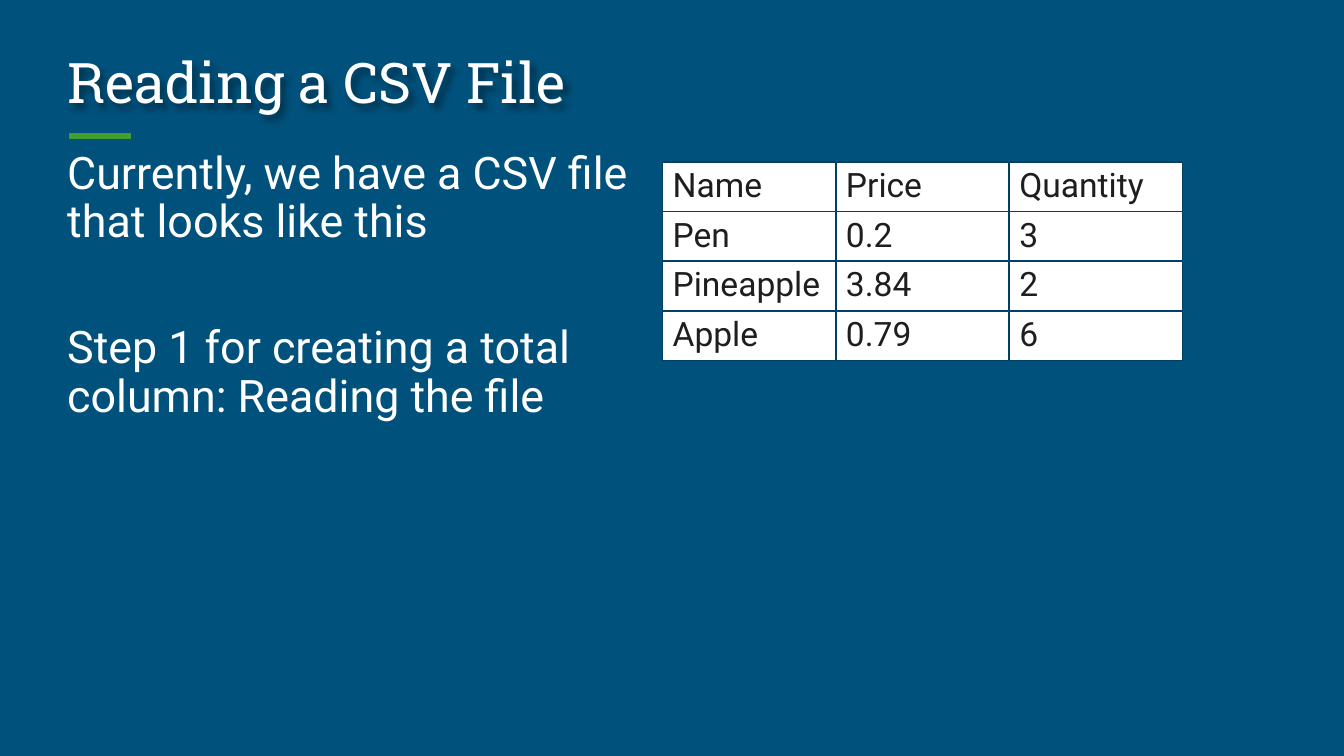
from lxml.etree import SubElement
from pptx import Presentation
from pptx.dml.color import RGBColor
from pptx.enum.shapes import MSO_CONNECTOR
from pptx.enum.text import MSO_ANCHOR, MSO_AUTO_SIZE, PP_ALIGN
from pptx.oxml import parse_xml
from pptx.oxml.ns import nsdecls, qn
from pptx.util import Inches, Pt

COLORS = {
    "background": "00517C",
    "accent": "419E2F",
    "light": "FFFFFF",
    "dark": "1E1E1E",
    "border": "004065",
}
WIDTH = Inches(10)
HEIGHT = WIDTH * 9 // 16
ITEMS = [
    ("Name", "Price", "Quantity"),
    ("Pen", "0.2", "3"),
    ("Pineapple", "3.84", "2"),
    ("Apple", "0.79", "6"),
]


def color(name):
    return RGBColor.from_string(COLORS[name])


def percent_box(left, top, width, height):
    """Turn percentages of the slide into a box of lengths."""
    return (int(left * WIDTH / 100), int(top * HEIGHT / 100),
            int(width * WIDTH / 100), int(height * HEIGHT / 100))


def set_margins(area, vertical):
    area.margin_left = area.margin_right = Pt(5.4)
    area.margin_top = area.margin_bottom = Pt(vertical)


def format_paragraph(para, typeface, size, color_name, spacing=1.0):
    para.alignment = PP_ALIGN.LEFT
    para.line_spacing = spacing
    para.font.name = typeface
    para.font.size = Pt(size)
    para.font.color.rgb = color(color_name)


def add_heading(page, box):
    """Title with a soft shadow, and the short rule below it."""
    left, top, width, height = box
    title = page.shapes.title
    title.left, title.top, title.width, title.height = box
    frame = title.text_frame
    frame.text = "Reading a CSV File"
    frame.word_wrap = True
    frame.auto_size = MSO_AUTO_SIZE.NONE
    frame.vertical_anchor = MSO_ANCHOR.MIDDLE
    set_margins(frame, 2.7)
    format_paragraph(frame.paragraphs[0], "Roboto Slab", 30, "light", 0.9)
    title._element.spPr.append(parse_xml(
        f'<a:effectLst {nsdecls("a")}>'
        '<a:outerShdw blurRad="50800" dist="38100" dir="2700000" algn="tl">'
        '<a:srgbClr val="000000"><a:alpha val="40000"/></a:srgbClr>'
        '</a:outerShdw></a:effectLst>'))

    # Accent rule
    start, level = left + int(0.01 * width), top + height
    rule = page.shapes.add_connector(
        MSO_CONNECTOR.STRAIGHT, start, level, start + int(0.05 * width), level)
    rule.line.color.rgb = color("accent")
    rule.line.width = Pt(3)
    SubElement(rule._element.spPr, qn("a:effectLst"))


def add_body(page, box):
    """Two paragraphs, set apart by paragraph spacing."""
    frame = page.shapes.add_textbox(*box).text_frame
    frame.word_wrap = True
    set_margins(frame, 2.7)
    frame.text = ("Currently, we have a CSV file that looks like this\n"
                  "Step 1 for creating a total column: Reading the file")
    for para in frame.paragraphs:
        format_paragraph(para, "Roboto", 24, "light", 0.9)
    frame.paragraphs[1].space_before = Pt(41.5)


def add_borders(cell):
    properties = cell._tc.get_or_add_tcPr()
    for position, side in enumerate(("lnL", "lnR", "lnT", "lnB")):
        properties.insert(position, parse_xml(
            f'<a:{side} {nsdecls("a")} w="{Pt(1)}"><a:solidFill>'
            f'<a:srgbClr val="{COLORS["border"]}"/></a:solidFill></a:{side}>'))


def add_items_table(page, box):
    """Contents of the CSV file in an even grid."""
    left, top, width, height = box
    table = page.shapes.add_table(len(ITEMS), len(ITEMS[0]), *box).table
    table.first_row = table.horz_banding = False
    for column in table.columns:
        column.width = width // len(ITEMS[0])
    for row, values in zip(table.rows, ITEMS):
        row.height = height // len(ITEMS)
        for cell, value in zip(row.cells, values):
            cell.text = value
            cell.fill.solid()
            cell.fill.fore_color.rgb = color("light")
            set_margins(cell, 2.5)
            format_paragraph(cell.text_frame.paragraphs[0],
                             "Roboto", 18, "dark")
            add_borders(cell)


def main():
    deck = Presentation()
    deck.slide_width, deck.slide_height = WIDTH, HEIGHT
    page = deck.slides.add_slide(deck.slide_layouts[5])
    page.background.fill.solid()
    page.background.fill.fore_color.rgb = color("background")

    add_heading(page, percent_box(4.25, 4.6, 91.5, 13.4))
    add_body(page, percent_box(4.25, 19.3, 45.6, 67))
    add_items_table(page, percent_box(49.3, 21.4, 38.7, 26))

    deck.save("out.pptx")


if __name__ == "__main__":
    main()
